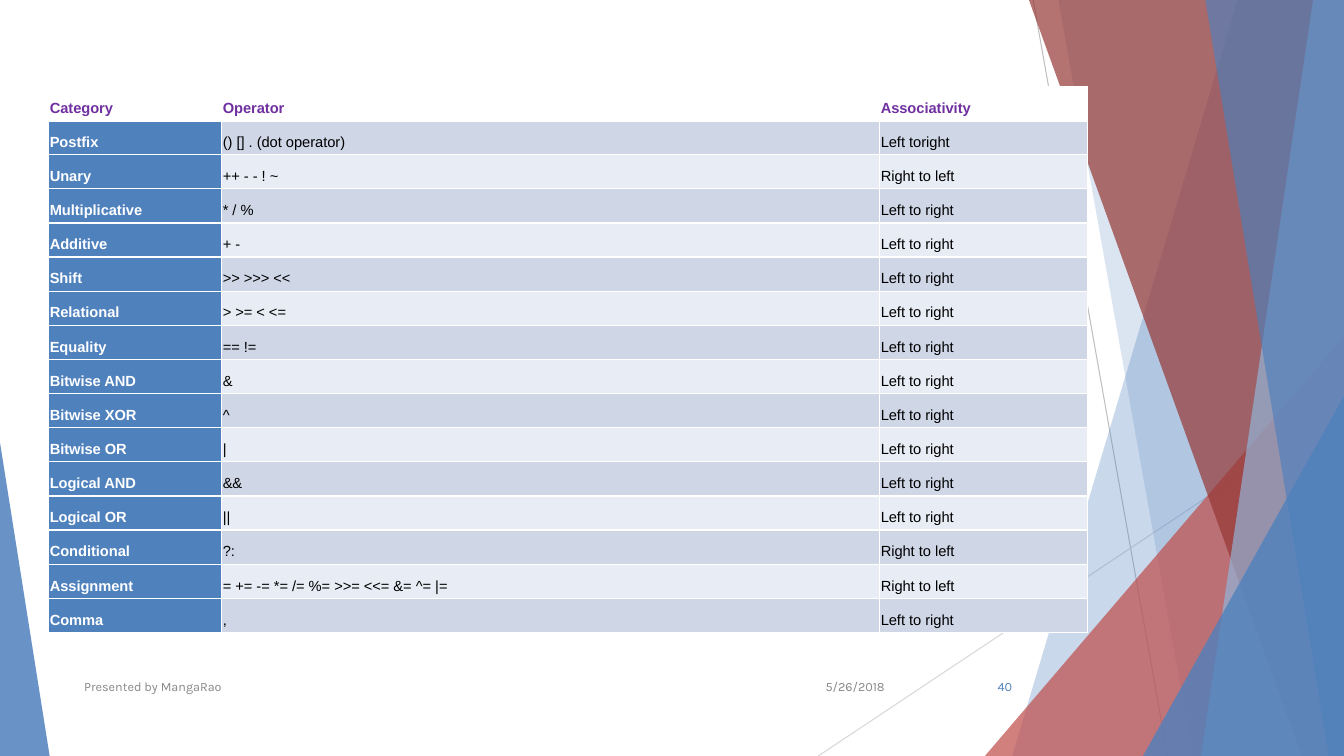
import pptx
import pptx.dml.color
import pptx.enum.shapes
import pptx.enum.text
import pptx.oxml
import pptx.oxml.ns
import pptx.util
from lxml import etree

Pt = pptx.util.Pt
RGBColor = pptx.dml.color.RGBColor
Align = pptx.enum.text.PP_ALIGN
Anchor = pptx.enum.text.MSO_ANCHOR
qn = pptx.oxml.ns.qn

WHITE = RGBColor(0xFF, 0xFF, 0xFF)
BLACK = RGBColor(0x00, 0x00, 0x00)
BLUE = RGBColor(0x4F, 0x81, 0xBD)
PALE_BLUE = RGBColor(0x93, 0xB3, 0xD7)
RED = RGBColor(0xC0, 0x50, 0x4D)
DARK_RED = RGBColor(0x95, 0x37, 0x34)
PURPLE = RGBColor(0x70, 0x30, 0xA0)
GRAY = RGBColor(0x88, 0x88, 0x88)
LINE_GRAY = RGBColor(0xBF, 0xBF, 0xBF)
LIGHT_GRAY = RGBColor(0xD8, 0xD8, 0xD8)
ROW_FILLS = (RGBColor(0xCF, 0xD7, 0xE7), RGBColor(0xE8, 0xEC, 0xF4))

WIDTH, HEIGHT = 960, 540
LEFT_TO_RIGHT, RIGHT_TO_LEFT = "Left to right", "Right to left"
HEADER = ("Category", "Operator", "Associativity")
OPERATORS = (
    ("Postfix", "() [] . (dot operator)", "Left toright"),
    ("Unary", "++ - - ! ~", RIGHT_TO_LEFT),
    ("Multiplicative", "* / %", LEFT_TO_RIGHT),
    ("Additive", "+ -", LEFT_TO_RIGHT),
    ("Shift", ">> >>> <<", LEFT_TO_RIGHT),
    ("Relational", "> >= < <=", LEFT_TO_RIGHT),
    ("Equality", "== !=", LEFT_TO_RIGHT),
    ("Bitwise AND", "&", LEFT_TO_RIGHT),
    ("Bitwise XOR", "^", LEFT_TO_RIGHT),
    ("Bitwise OR", "|", LEFT_TO_RIGHT),
    ("Logical AND", "&&", LEFT_TO_RIGHT),
    ("Logical OR", "||", LEFT_TO_RIGHT),
    ("Conditional", "?:", RIGHT_TO_LEFT),
    ("Assignment", "= += -= *= /= %= >>= <<= &= ^= |=", RIGHT_TO_LEFT),
    ("Comma", ",", LEFT_TO_RIGHT),
)


def write_text(frame, text, font, size, color, bold=False, align=Align.LEFT, spacing=1.0):
    """Write one formatted paragraph into a text frame."""
    paragraph = frame.paragraphs[0]
    paragraph.alignment = align
    paragraph.line_spacing = spacing
    run = paragraph.add_run()
    run.text = text
    run.font.name = font
    run.font.size = Pt(size)
    run.font.bold = bold
    run.font.color.rgb = color


class SlideBuilder:
    """Holds the style and the current slide, and adds each kind of element."""

    table_font, table_size = "Arial", 10.5
    footer_font, footer_size = "Karla", 9
    line_spacing, cell_margin = 1.57, 0.75

    def __init__(self, slide):
        self.slide = slide
        self.shapes = slide.shapes

    def line(self, start, end, color):
        connector = self.shapes.add_connector(
            pptx.enum.shapes.MSO_CONNECTOR.STRAIGHT, *map(Pt, start + end))
        connector.line.color.rgb = color
        connector.line.width = Pt(0.75)
        etree.SubElement(connector._element.spPr, qn("a:effectLst"))

    def paint(self, shape, color, opacity):
        shape.shadow.inherit = False
        shape.line.fill.background()
        shape.fill.solid()
        shape.fill.fore_color.rgb = color
        color_element = shape._element.spPr.find(".//" + qn("a:srgbClr"))
        etree.SubElement(color_element, qn("a:alpha"), val=str(opacity * 1000))

    def band(self, top_x, bottom_x, color, opacity):
        builder = self.shapes.build_freeform(Pt(top_x), Pt(0))
        corners = ((WIDTH, 0), (WIDTH, HEIGHT), (bottom_x, HEIGHT))
        builder.add_line_segments([(Pt(x), Pt(y)) for x, y in corners])
        self.paint(builder.convert_to_shape(), color, opacity)

    def triangle(self, left, top, width, apex, color, opacity):
        shape = self.shapes.add_shape(
            pptx.enum.shapes.MSO_SHAPE.ISOSCELES_TRIANGLE,
            Pt(left), Pt(top), Pt(width), Pt(HEIGHT - top))
        shape.adjustments[0] = apex
        self.paint(shape, color, opacity)

    def footer(self, text, left, width, color, align):
        box = self.shapes.add_textbox(Pt(left), Pt(476), Pt(width), Pt(29))
        box.text_frame.word_wrap = True
        box.text_frame.vertical_anchor = Anchor.MIDDLE
        write_text(box.text_frame, text, font=self.footer_font,
                   size=self.footer_size, color=color, align=align)

    def cell(self, cell, text, fill, color, bold, bottom_width):
        cell.margin_left = cell.margin_right = Pt(self.cell_margin)
        cell.margin_top = cell.margin_bottom = Pt(self.cell_margin)
        cell.vertical_anchor = Anchor.MIDDLE
        properties = cell._tc.get_or_add_tcPr()
        for side, width in (("L", 1), ("R", 1), ("T", 1), ("B", bottom_width)):
            border = etree.SubElement(properties, qn("a:ln" + side), w=str(Pt(width)))
            border_fill = etree.SubElement(border, qn("a:solidFill"))
            etree.SubElement(border_fill, qn("a:srgbClr"), val=str(WHITE))
        cell.fill.solid()
        cell.fill.fore_color.rgb = fill
        write_text(cell.text_frame, text, font=self.table_font, size=self.table_size,
                   color=color, bold=bold, spacing=self.line_spacing)

    def table(self, left, top, column_widths, row_height, header, rows):
        count = len(rows) + 1
        table = self.shapes.add_table(
            count, len(header), Pt(left), Pt(top),
            Pt(sum(column_widths)), Pt(row_height * count)).table
        table.horz_banding = False
        for column, width in zip(table.columns, column_widths):
            column.width = Pt(width)
        for row in table.rows:
            row.height = Pt(row_height)
        for column, text in enumerate(header):
            self.cell(table.cell(0, column), text, WHITE, PURPLE, True, 3)
        for index, row in enumerate(rows):
            for column, text in enumerate(row):
                is_category = column == 0
                self.cell(table.cell(index + 1, column), text,
                          BLUE if is_category else ROW_FILLS[index % 2],
                          WHITE if is_category else BLACK, is_category, 1)


presentation = pptx.Presentation()
presentation.slide_width = Pt(WIDTH)
presentation.slide_height = Pt(HEIGHT)
builder = SlideBuilder(presentation.slides.add_slide(presentation.slide_layouts[6]))

builder.line((738, 0), (834, HEIGHT), LINE_GRAY)
builder.line((WIDTH, 290), (584.5, HEIGHT), LIGHT_GRAY)
builder.band(884, 723, BLUE, 30)
builder.band(756, 852, BLUE, 20)
builder.triangle(703.5, 240, 256.5, 1, RED, 72)
builder.band(735, 930, DARK_RED, 70)
builder.band(938, 858, PALE_BLUE, 70)
builder.band(861, 949, BLUE, 65)
builder.triangle(816.5, 283, 143.5, 1, BLUE, 80)
builder.triangle(0, 316, 35.5, 0, BLUE, 85)

builder.table(34.8, 61.7, (123.6, 470, 148.5), 24.4, HEADER, OPERATORS)

builder.footer("5/26/2018", 567, 72, GRAY, Align.RIGHT)
builder.footer("Presented by MangaRao", 53, 496, GRAY, Align.LEFT)
builder.footer("40", 676, 54, BLUE, Align.RIGHT)

presentation.save("out.pptx")
